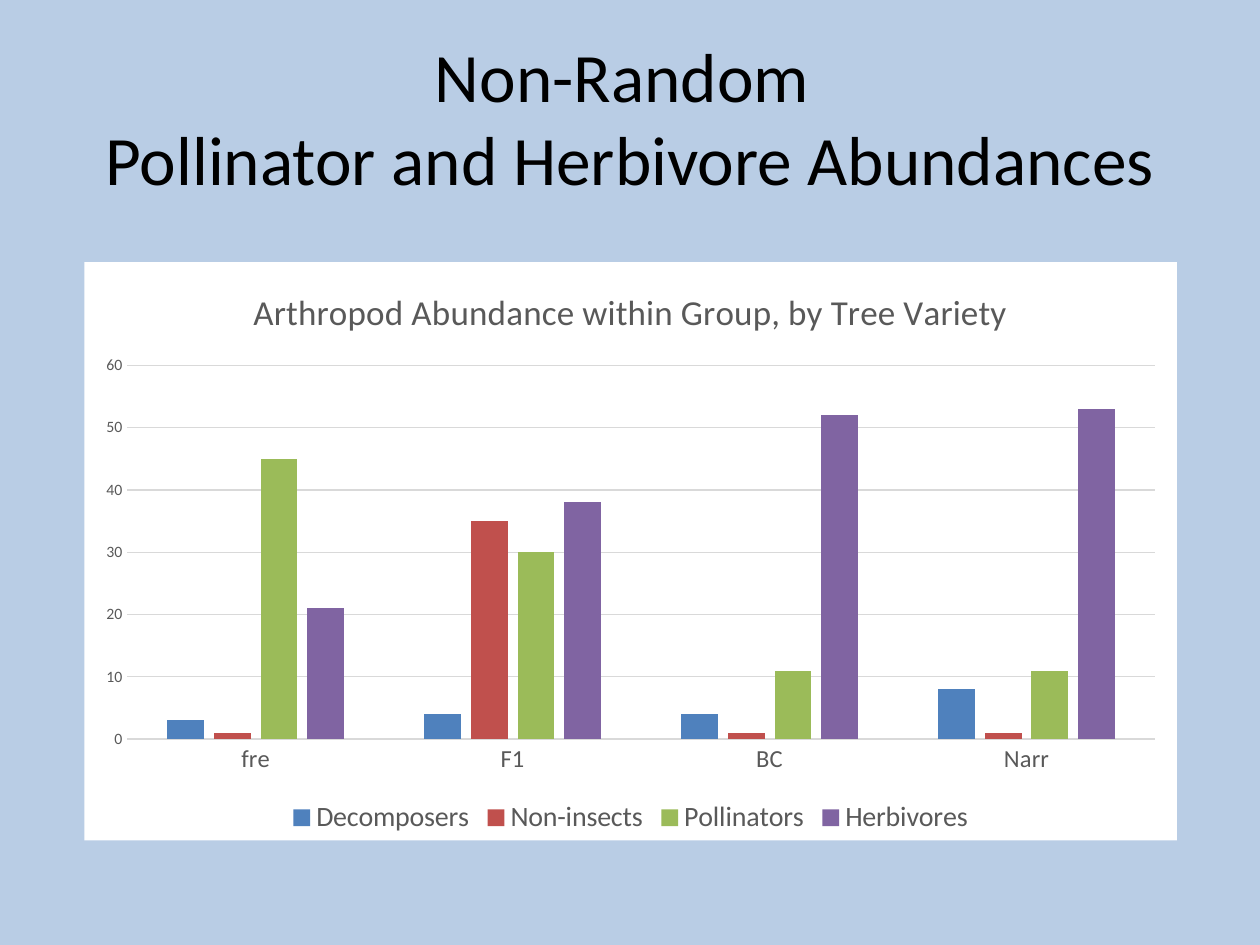
from dataclasses import dataclass
from typing import Any

from lxml.etree import _Element
from pptx import Presentation
from pptx.chart.chart import Chart
from pptx.chart.data import CategoryChartData
from pptx.dml.color import RGBColor
from pptx.enum.chart import XL_CHART_TYPE, XL_LEGEND_POSITION, XL_TICK_MARK
from pptx.enum.text import MSO_ANCHOR, MSO_AUTO_SIZE, PP_ALIGN
from pptx.oxml import parse_xml
from pptx.oxml.ns import nsdecls, qn
from pptx.slide import Slide
from pptx.util import Inches, Pt

FONT = "Calibri"
GREY = "595959"
RULE = "D9D9D9"
VARIETIES = ("fre", "F1", "BC", "Narr")


@dataclass(frozen=True)
class Guild:
    """Arthropod group with its abundance in each tree variety."""

    name: str
    abundances: tuple[int, ...]
    color: str


GUILDS = (
    Guild("Decomposers", (3, 4, 4, 8), "4F81BD"),
    Guild("Non-insects", (1, 35, 1, 1), "C0504D"),
    Guild("Pollinators", (45, 30, 11, 11), "9BBB59"),
    Guild("Herbivores", (21, 38, 52, 53), "8064A2"),
)


def rgb(color: str) -> RGBColor:
    """Turn a hex string into a colour."""
    return RGBColor.from_string(color)


def apply(target: Any, formats: dict[str, Any]) -> None:
    """Set every attribute listed in the format values."""
    for attribute, value in formats.items():
        setattr(target, attribute, value)


def style_font(font: Any, size: float, color: str = GREY) -> None:
    """Give a font its face, size and colour."""
    apply(font, {"name": FONT, "size": Pt(size), "bold": False})
    font.color.rgb = rgb(color)


def style_line(line: Any) -> None:
    """Draw a thin rule in light grey."""
    line.width = Pt(0.75)
    line.color.rgb = rgb(RULE)


def fill_chart_area(chart: Chart, color: str) -> None:
    """Fill the chart background and leave out its border."""
    area: _Element = parse_xml(
        f'<c:spPr {nsdecls("c", "a")}><a:solidFill><a:srgbClr val="{color}"/>'
        "</a:solidFill><a:ln><a:noFill/></a:ln></c:spPr>"
    )
    chart.element.find(qn("c:chart")).addnext(area)


def add_heading(slide: Slide) -> None:
    """Place and format the slide title."""
    heading = slide.shapes.title
    apply(heading, {"left": Inches(0.5), "top": Inches(0.3),
                    "width": Inches(9), "height": Inches(1.25)})
    frame = heading.text_frame
    apply(frame, {"text": "Non-Random \vPollinator and Herbivore Abundances",
                  "auto_size": MSO_AUTO_SIZE.NONE, "word_wrap": True,
                  "vertical_anchor": MSO_ANCHOR.MIDDLE})
    paragraph = frame.paragraphs[0]
    paragraph.alignment = PP_ALIGN.CENTER
    for run in paragraph.runs:
        style_font(run.font, 39.6, "000000")


def style_axes(chart: Chart) -> None:
    """Format both axes and the horizontal gridlines."""
    for axis, size in ((chart.category_axis, 14), (chart.value_axis, 9)):
        apply(axis, {"major_tick_mark": XL_TICK_MARK.NONE,
                     "minor_tick_mark": XL_TICK_MARK.NONE})
        style_font(axis.tick_labels.font, size)
    style_line(chart.category_axis.format.line)
    values = chart.value_axis
    apply(values, {"minimum_scale": 0, "maximum_scale": 60, "major_unit": 10,
                   "has_major_gridlines": True})
    values.format.line.fill.background()
    style_line(values.major_gridlines.format.line)


def add_abundance_chart(slide: Slide) -> None:
    """Add the clustered columns of arthropod abundance."""
    data = CategoryChartData(number_format="General")
    data.categories = VARIETIES
    for guild in GUILDS:
        data.add_series(guild.name, guild.abundances)
    chart = slide.shapes.add_chart(
        XL_CHART_TYPE.COLUMN_CLUSTERED,
        Inches(0.67), Inches(2.08), Inches(8.67), Inches(4.59), data,
    ).chart
    style_font(chart.font, 10, "000000")
    fill_chart_area(chart, "FFFFFF")
    apply(chart, {"has_title": True, "has_legend": True})
    caption = chart.chart_title.text_frame
    caption.text = "Arthropod Abundance within Group, by Tree Variety"
    style_font(caption.paragraphs[0].runs[0].font, 20)
    apply(chart.legend, {"position": XL_LEGEND_POSITION.BOTTOM,
                         "include_in_layout": False})
    style_font(chart.legend.font, 16)
    style_axes(chart)
    plot = chart.plots[0]
    apply(plot, {"gap_width": 219, "overlap": -27, "vary_by_categories": False})
    for series, guild in zip(plot.series, GUILDS):
        series.invert_if_negative = False
        series.format.fill.solid()
        series.format.fill.fore_color.rgb = rgb(guild.color)


def main() -> None:
    """Build and save the slide."""
    deck = Presentation()
    apply(deck, {"slide_width": Inches(10), "slide_height": Inches(7.5)})
    slide = deck.slides.add_slide(deck.slide_layouts.get_by_name("Title Only"))
    slide.background.fill.solid()
    slide.background.fill.fore_color.rgb = rgb("B9CDE5")
    add_heading(slide)
    add_abundance_chart(slide)
    deck.save("out.pptx")


main()
